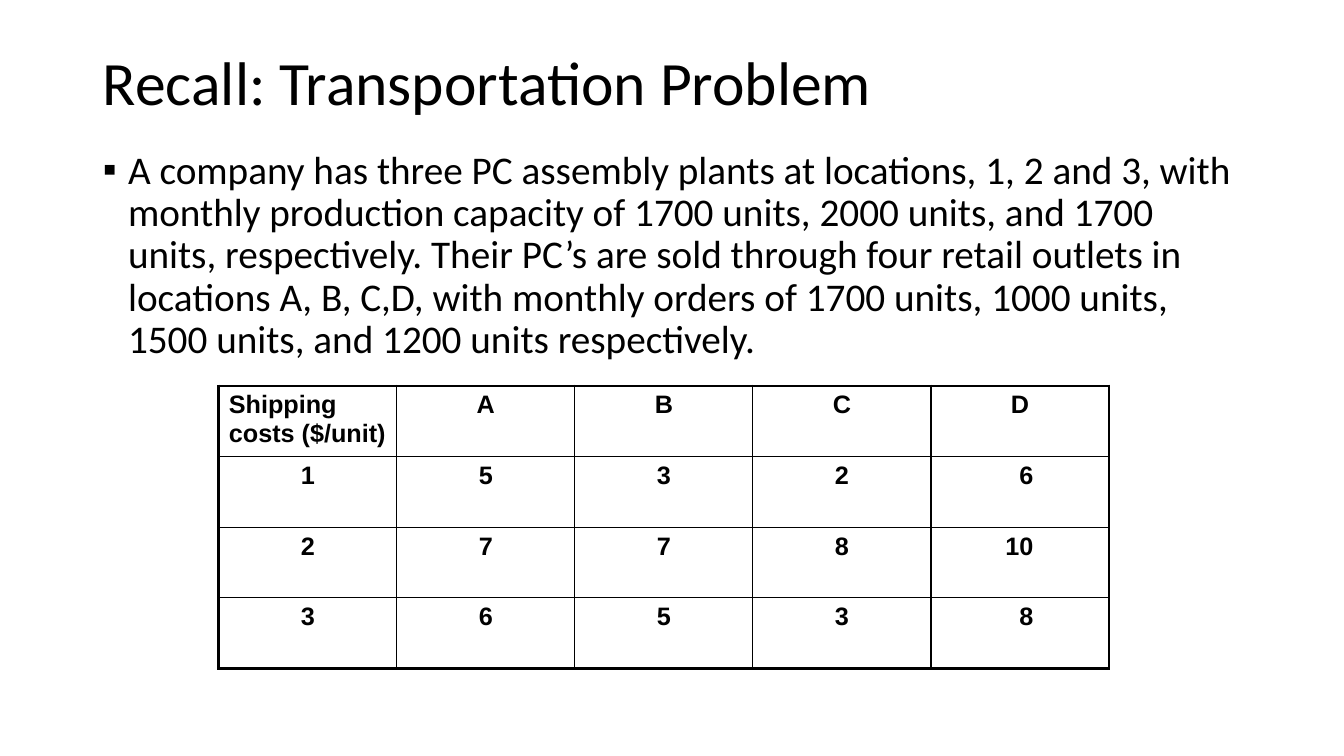
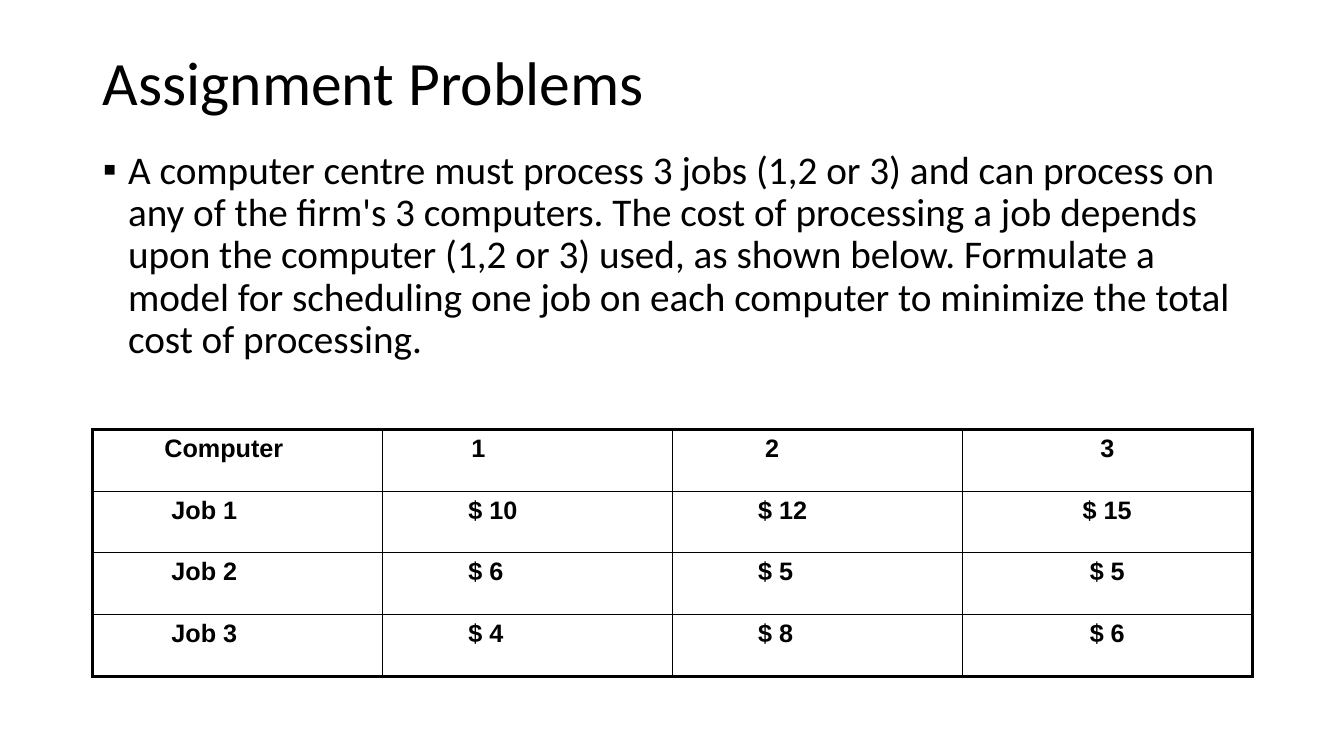
from lxml import etree
from pptx import Presentation
from pptx.dml.color import RGBColor
from pptx.enum.text import MSO_ANCHOR, MSO_AUTO_SIZE, PP_ALIGN
from pptx.oxml.ns import qn
from pptx.util import Inches, Pt

# Shared style
BLACK = "000000"
TITLE_BOX = (0.92, 0.4, 11.5, 0.9)
BODY_BOX = (0.92, 1.44, 11.5, 5.56)
THIN, THICK = 1, 2.25
LEFT, CENTER, RIGHT = PP_ALIGN.LEFT, PP_ALIGN.CENTER, PP_ALIGN.RIGHT
MIDDLE = (CENTER, 0.1, 0.1)

# Content; a column layout is (alignment, left margin, right margin)
# One-digit prices hold a figure space, as wide as a digit
SLIDES = [
    {
        "title": "Recall: Transportation Problem",
        "body": "A company has three PC assembly plants at locations, 1, 2 and 3, with "
                "monthly production capacity of 1700 units, 2000 units, and 1700 units, "
                "respectively. Their PC’s are sold through four retail outlets in "
                "locations A, B, C,D, with monthly orders of 1700 units, 1000 units, "
                "1500 units, and 1200 units respectively.",
        "box": (2.17, 3.83, 8.83, 2.8),
        "rows": [
            ("Shipping costs ($/unit)", "A", "B", "C", "D"),
            ("1", "5", "3", "2", "6"),
            ("2", "7", "7", "8", "10"),
            ("3", "6", "5", "3", "8"),
        ],
        "header": [(LEFT, 0.1, 0.1)] + [MIDDLE] * 4,
        "columns": [MIDDLE] * 4 + [(RIGHT, 0.1, 0.75)],
    },
    {
        "title": "Assignment Problems",
        "body": "A computer centre must process 3 jobs (1,2 or 3) and can process on any "
                "of the firm's 3 computers. The cost of processing a job depends upon "
                "the computer (1,2 or 3) used, as shown below. Formulate a model for "
                "scheduling one job on each computer to minimize the total cost of "
                "processing.",
        "box": (0.92, 4.26, 11.5, 2.45),
        "rows": [
            ("Computer", "1", "2", "3"),
            ("Job 1", "$ 10", "$ 12", "$ 15"),
            ("Job 2", "$ 6", "$ 5", "$ 5"),
            ("Job 3", "$ 4", "$ 8", "$ 6"),
        ],
        "header": [(LEFT, 0.71, 0.1), (LEFT, 0.88, 0.1), (LEFT, 0.92, 0.1), MIDDLE],
        "columns": [(LEFT, 0.78, 0.1), (LEFT, 0.85, 0.1), (LEFT, 0.85, 0.1), MIDDLE],
    },
]


def color(value):
    return RGBColor.from_string(value)


def style_font(paragraph, name, size, bold=False):
    font = paragraph.font
    font.name, font.size, font.bold = name, Pt(size), bold
    font.color.rgb = color(BLACK)


def place(shape, box):
    shape.left, shape.top, shape.width, shape.height = map(Inches, box)


def fill_placeholder(shape, text, size, anchor):
    frame = shape.text_frame
    frame.text = text
    frame.word_wrap = True
    frame.auto_size = MSO_AUTO_SIZE.NONE
    frame.vertical_anchor = anchor
    paragraph = frame.paragraphs[0]
    paragraph.alignment = LEFT
    paragraph.line_spacing = 0.9
    paragraph.space_before = Pt(0)
    return paragraph, size


def add_bullet(paragraph):
    properties = paragraph._p.get_or_add_pPr()
    properties.set("marL", str(Inches(0.25)))
    properties.set("indent", str(-Inches(0.25)))
    etree.SubElement(properties, qn("a:buFont")).set("typeface", "Arial")
    etree.SubElement(properties, qn("a:buChar")).set("char", "▪")


def set_borders(cell, widths):
    """Put the left, right, top and bottom lines ahead of the cell's fill."""
    properties = cell._tc.get_or_add_tcPr()
    for index, (side, width) in enumerate(zip("LRTB", widths)):
        line = etree.Element(qn(f"a:ln{side}"), w=str(Pt(width)))
        fill = etree.SubElement(line, qn("a:solidFill"))
        etree.SubElement(fill, qn("a:srgbClr")).set("val", BLACK)
        properties.insert(index, line)


def add_cost_table(slide, content):
    rows = content["rows"]
    last_row, last_column = len(rows) - 1, len(rows[0]) - 1
    table = slide.shapes.add_table(
        len(rows), len(rows[0]), *map(Inches, content["box"])).table
    table.first_row = table.horz_banding = False
    for row, texts in enumerate(rows):
        layouts = content["columns"] if row else content["header"]
        for column, (text, layout) in enumerate(zip(texts, layouts)):
            cell = table.cell(row, column)
            alignment, left, right = layout
            cell.text = text
            cell.margin_left, cell.margin_right = Inches(left), Inches(right)
            cell.fill.background()
            outer = (column == 0, column == last_column, row == 0, row == last_row)
            set_borders(cell, [THICK if edge else THIN for edge in outer])
            paragraph = cell.text_frame.paragraphs[0]
            paragraph.alignment = alignment
            style_font(paragraph, "Arial", 18, bold=True)


def main():
    presentation = Presentation()
    presentation.slide_width, presentation.slide_height = Inches(13.33), Inches(7.5)

    # Title and body positions, inherited by both slides
    layout = presentation.slide_layouts[1]
    for shape, box in zip(layout.placeholders, (TITLE_BOX, BODY_BOX)):
        place(shape, box)

    for content in SLIDES:
        slide = presentation.slides.add_slide(layout)
        title, size = fill_placeholder(
            slide.shapes.title, content["title"], 44, MSO_ANCHOR.MIDDLE)
        style_font(title, "Calibri", size)
        body, size = fill_placeholder(
            slide.placeholders[1], content["body"], 28, MSO_ANCHOR.TOP)
        add_bullet(body)
        style_font(body, "Calibri", size)
        add_cost_table(slide, content)

    presentation.save("out.pptx")


if __name__ == "__main__":
    main()
